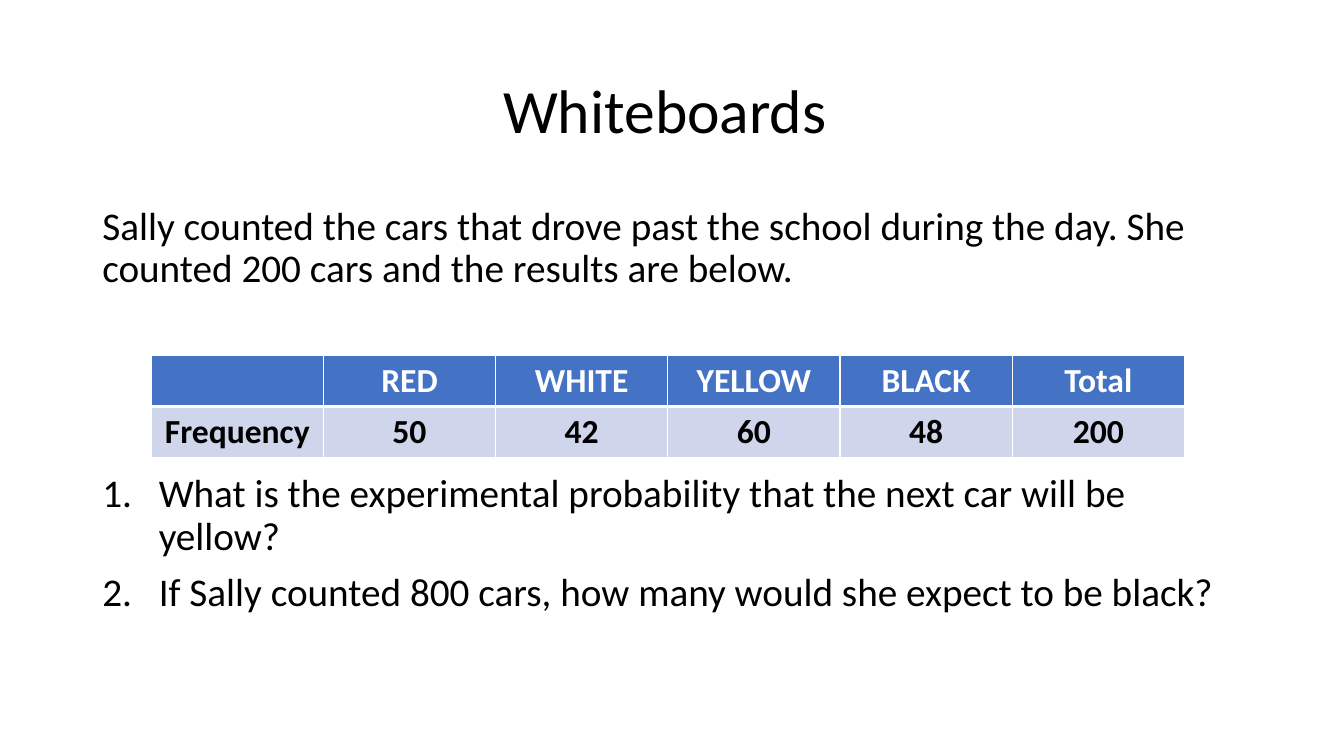
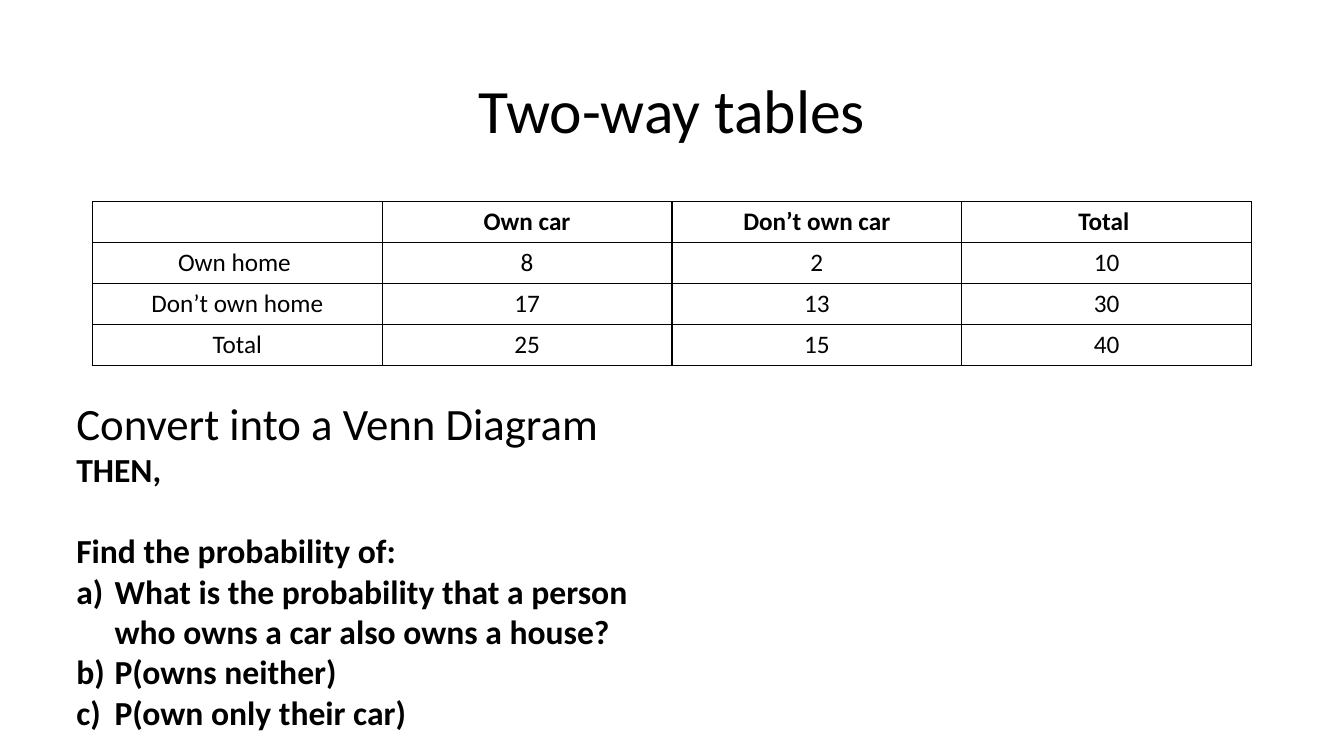
from lxml.etree import Element, SubElement
from pptx import Presentation
from pptx.dml.color import RGBColor
from pptx.enum.text import MSO_ANCHOR, MSO_AUTO_SIZE, PP_ALIGN
from pptx.oxml.ns import qn
from pptx.util import Inches, Pt

COLORS = {
    "ink": "000000",
    "paper": "FFFFFF",
    "header": "4472C4",
    "band": "CFD5EA",
}


class Deck:
    font_name = "Calibri"
    columns, rows = 16, 9
    margin, content_width = 1.1, 13.8

    def __init__(self):
        self.presentation = Presentation()
        self.presentation.slide_width = Inches(13.33)
        self.presentation.slide_height = Inches(7.5)
        self.slide = None

    def across(self, columns):
        return round(self.presentation.slide_width * columns / self.columns)

    def down(self, rows):
        return round(self.presentation.slide_height * rows / self.rows)

    def box(self, left, top, width, height):
        return self.across(left), self.down(top), self.across(width), self.down(height)

    def style(self, paragraph, size, bold=False, color="ink"):
        for run in paragraph.runs:
            run.font.name = self.font_name
            run.font.size = Pt(size)
            run.font.bold = bold
            run.font.color.rgb = RGBColor.from_string(COLORS[color])

    def add_slide(self, title):
        self.slide = self.presentation.slides.add_slide(self.presentation.slide_layouts[5])
        shape = self.slide.shapes.title
        shape.left, shape.top, shape.width, shape.height = self.box(
            self.margin, 0.48, self.content_width, 1.74)
        frame = shape.text_frame
        frame.text = title
        frame.auto_size = MSO_AUTO_SIZE.NONE
        frame.vertical_anchor = MSO_ANCHOR.MIDDLE
        paragraph = frame.paragraphs[0]
        paragraph.alignment = PP_ALIGN.CENTER
        paragraph.line_spacing = 0.9
        self.style(paragraph, 44)

    def number(self, paragraph, scheme, indent):
        properties = paragraph._p.get_or_add_pPr()
        properties.set("marL", str(Inches(indent)))
        properties.set("indent", str(-Inches(indent)))
        SubElement(properties, qn("a:buFont")).set("typeface", "+mj-lt")
        SubElement(properties, qn("a:buAutoNum")).set("type", scheme)

    def add_text(self, area, lines, line_spacing=1.0):
        frame = self.slide.shapes.add_textbox(*self.box(*area)).text_frame
        frame.word_wrap = True
        frame.text = "\n".join(line["text"] for line in lines)
        for paragraph, line in zip(frame.paragraphs, lines):
            paragraph.line_spacing = line_spacing
            paragraph.space_before = Pt(line.get("before", 0))
            if "scheme" in line:
                self.number(paragraph, line["scheme"], line["indent"])
            self.style(paragraph, line["size"], line.get("bold", False))

    def set_borders(self, cell, color, widths):
        properties = cell._tc.get_or_add_tcPr()
        for position, (side, width) in enumerate(zip("LRTB", widths)):
            border = Element(qn(f"a:ln{side}"), w=str(Pt(width)))
            fill = SubElement(border, qn("a:solidFill"))
            SubElement(fill, qn("a:srgbClr")).set("val", COLORS[color])
            properties.insert(position, border)

    def add_table(self, left, top, width, row_height, values, row_styles, size, border):
        row_count, column_count = len(values), len(values[0])
        table = self.slide.shapes.add_table(
            row_count, column_count,
            *self.box(left, top, width, row_height * row_count)).table
        table.first_row = table.horz_banding = False
        for row, texts, row_style in zip(table.rows, values, row_styles):
            for cell, text in zip(row.cells, texts):
                cell.text = text
                cell.text_frame.paragraphs[0].alignment = PP_ALIGN.CENTER
                self.style(cell.text_frame.paragraphs[0], size,
                           row_style["bold"], row_style["color"])
                if row_style["fill"]:
                    cell.fill.solid()
                    cell.fill.fore_color.rgb = RGBColor.from_string(COLORS[row_style["fill"]])
                else:
                    cell.fill.background()
                self.set_borders(cell, border, row_style["borders"])


def add_whiteboards(deck):
    deck.add_slide("Whiteboards ")
    question = {"size": 28, "scheme": "arabicPeriod", "indent": 0.56}
    deck.add_text((deck.margin, 2.4, deck.content_width, 5.7), [
        {"text": "Sally counted the cars that drove past the school during the day. "
                 "She counted 200 cars and the results are below.", "size": 28},
        {"text": "What is the experimental probability that the next car will be yellow?",
         "before": 130.5, **question},
        {"text": "If Sally counted 800 cars, how many would she expect to be black?",
         "before": 10, **question},
    ], line_spacing=0.9)
    deck.add_table(
        1.8, 4.23, 12.3, 0.61,
        [["", "RED", "WHITE", "YELLOW", "BLACK", "Total"],
         ["Frequency ", "50", "42", "60", "48", "200"]],
        [{"bold": True, "color": "paper", "fill": "header", "borders": (1, 1, 1, 3)},
         {"bold": True, "color": "ink", "fill": "band", "borders": (1, 1, 1, 1)}],
        size=24, border="paper")


def add_two_way_tables(deck):
    deck.add_slide("Two-way tables")
    plain_row = {"bold": False, "color": "ink", "fill": None, "borders": (1, 1, 1, 1)}
    deck.add_table(
        deck.margin, 2.4, deck.content_width, 0.48,
        [["", "Own car", "Don’t own car", "Total "],
         ["Own home ", "8", "2", "10"],
         ["Don’t own home", "17", "13", "30"],
         ["Total", "25", "15", "40"]],
        [{**plain_row, "bold": True}] + [plain_row] * 3,
        size=18, border="ink")
    strong = {"size": 24, "bold": True}
    question = {**strong, "scheme": "alphaLcParenR", "indent": 0.38}
    deck.add_text((0.79, 4.65, 7, 4.3), [
        {"text": "Convert into a Venn Diagram", "size": 32},
        {"text": "THEN,", **strong},
        {"text": "Find the probability of:", "before": 29, **strong},
        {"text": "What is the probability that a person who owns a car also owns a house?",
         **question},
        {"text": "P(owns neither)", **question},
        {"text": "P(own only their car)", **question},
    ])


def main():
    deck = Deck()
    add_whiteboards(deck)
    add_two_way_tables(deck)
    deck.presentation.save("out.pptx")


if __name__ == "__main__":
    main()
